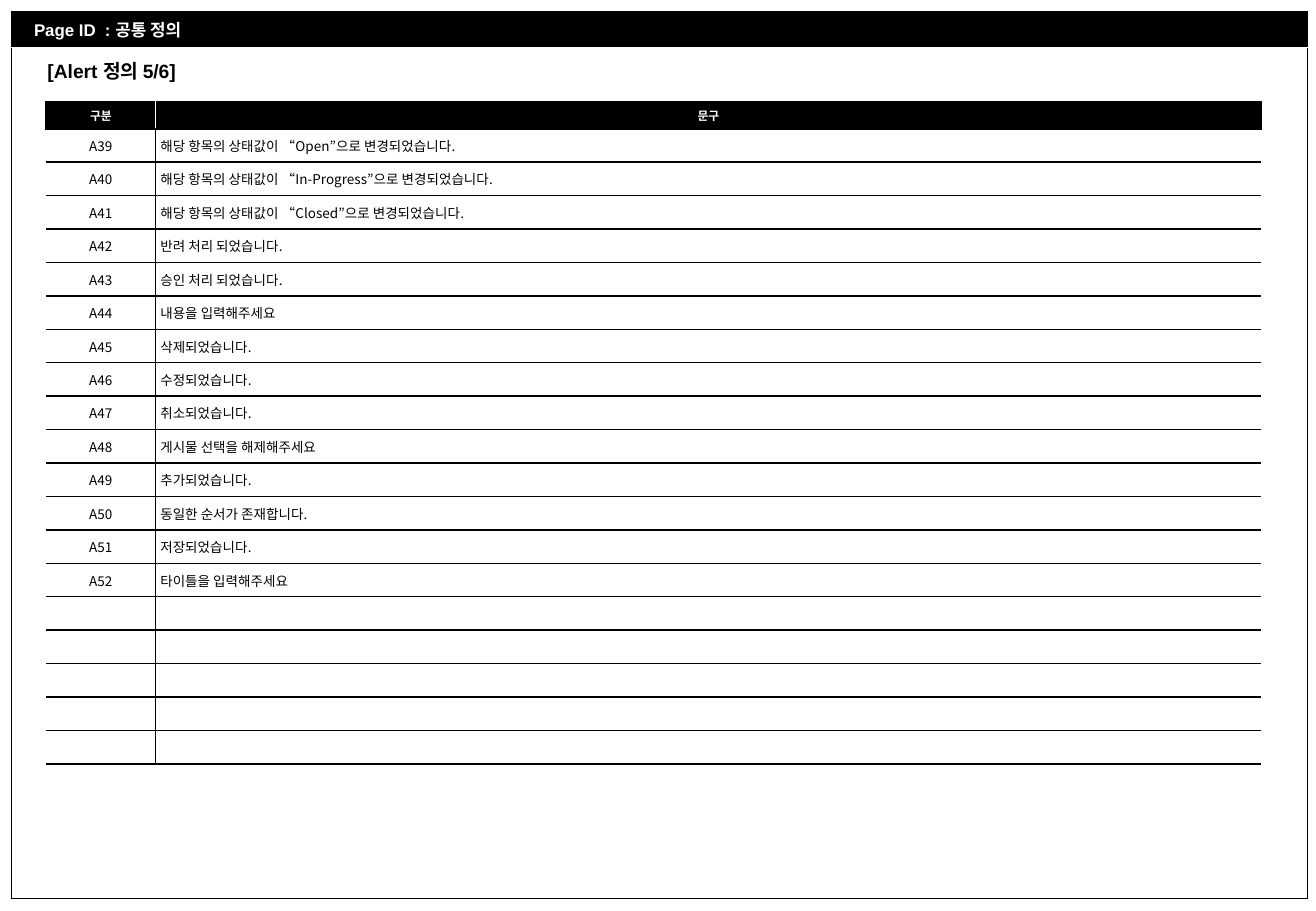
from lxml import etree
from pptx import Presentation
from pptx.dml.color import RGBColor
from pptx.enum.text import MSO_ANCHOR, MSO_AUTO_SIZE, PP_ALIGN
from pptx.oxml.ns import qn
from pptx.util import Inches, Pt

LEFT, CENTER = PP_ALIGN.LEFT, PP_ALIGN.CENTER
MIDDLE = MSO_ANCHOR.MIDDLE
NO_AUTOFIT = MSO_AUTO_SIZE.NONE
BLACK, WHITE = "000000", "FFFFFF"
LATIN_FONT, KOREAN_FONT = "Arial", "Noto Sans CJK KR"
HEADINGS = ("구분", "문구")
FIRST_CODE = 39
MESSAGES = [
    "해당 항목의 상태값이 “Open”으로 변경되었습니다.",
    "해당 항목의 상태값이 “In-Progress”으로 변경되었습니다.",
    "해당 항목의 상태값이 “Closed”으로 변경되었습니다.",
    "반려 처리 되었습니다.",
    "승인 처리 되었습니다.",
    "내용을 입력해주세요",
    "삭제되었습니다.",
    "수정되었습니다.",
    "취소되었습니다.",
    "게시물 선택을 해제해주세요",
    "추가되었습니다.",
    "동일한 순서가 존재합니다.",
    "저장되었습니다.",
    "타이틀을 입력해주세요",
]
BODY_ROWS = 19
TABLE_HEIGHT, HEADING_HEIGHT = 5.43, 0.2


def write(para, text, size, color, font, bold=False, align=LEFT):
    """Fill a paragraph with one formatted run, or only set its size if empty."""
    para.alignment = align
    if not text:
        etree.SubElement(para._p, qn("a:endParaRPr"), sz=str(size * 100))
        return
    span = para.add_run()
    span.text = text
    span.font.size = Pt(size)
    span.font.bold = bold
    span.font.name = font
    span.font.color.rgb = RGBColor.from_string(color)
    etree.SubElement(span.font._element, qn("a:ea"), typeface=KOREAN_FONT)


def style_cell(cell, fill, borders, margin_y=0.04):
    """Set a cell's fill, margins and borders, given as side: (color, points)."""
    cell.vertical_anchor = MIDDLE
    cell.margin_left = cell.margin_right = Inches(0.04)
    cell.margin_top = cell.margin_bottom = Inches(margin_y)
    properties = cell._tc.get_or_add_tcPr()
    for side in "LRTB":
        color, points = borders.get(side, (None, 0))
        line = etree.SubElement(properties, qn(f"a:ln{side}"), w=str(Pt(points)))
        if color:
            solid = etree.SubElement(line, qn("a:solidFill"))
            etree.SubElement(solid, qn("a:srgbClr"), val=color)
        else:
            etree.SubElement(line, qn("a:noFill"))
    if fill:
        cell.fill.solid()
        cell.fill.fore_color.rgb = RGBColor.from_string(fill)
    else:
        cell.fill.background()


deck = Presentation()
deck.slide_width, deck.slide_height = Inches(10.83), Inches(7.5)
page = deck.slides.add_slide(deck.slide_layouts[5])

# Page frame with its header bar
frame = page.shapes.add_table(
    2, 1, Inches(0.09), Inches(0.09), Inches(10.67), Inches(7.27)).table
frame.first_row = frame.horz_banding = False
frame.rows[0].height, frame.rows[1].height = Inches(0.27), Inches(7)
thin, divider = (BLACK, 0.25), (WHITE, 1)
header, body = frame.cell(0, 0), frame.cell(1, 0)
style_cell(header, BLACK, {"L": thin, "R": thin, "T": thin, "B": divider}, 0.05)
style_cell(body, None, {"L": thin, "R": thin, "T": divider, "B": thin}, 0.05)
header.margin_left = Inches(0.19)
write(header.text_frame.paragraphs[0], "Page ID  : 공통 정의", 10, WHITE,
      LATIN_FONT, bold=True)

# Title
title = page.shapes.title
title.left, title.top = Inches(0.29), Inches(0.44)
title.width, title.height = Inches(1.37), Inches(0.29)
title.text_frame.word_wrap = False
title.text_frame.auto_size = NO_AUTOFIT
title.text_frame.vertical_anchor = MIDDLE
write(title.text_frame.paragraphs[0], "[Alert 정의 5/6]", 11.4, BLACK,
      LATIN_FONT, bold=True)

# Alert messages
alerts = page.shapes.add_table(
    BODY_ROWS + 1, 2, Inches(0.38), Inches(0.84), Inches(10),
    Inches(TABLE_HEIGHT)).table
alerts.first_row = alerts.horz_banding = False
alerts.columns[0].width, alerts.columns[1].width = Inches(0.9), Inches(9.1)
rule = (BLACK, 1)

alerts.rows[0].height = Inches(HEADING_HEIGHT)
for column, heading in enumerate(HEADINGS):
    cell = alerts.cell(0, column)
    borders = dict.fromkeys("LRTB", rule)
    borders["RL"[column]] = divider
    style_cell(cell, BLACK, borders)
    write(cell.text_frame.paragraphs[0], heading, 7, WHITE, KOREAN_FONT,
          bold=True, align=CENTER)

for index in range(BODY_ROWS):
    row = index + 1
    alerts.rows[row].height = Inches((TABLE_HEIGHT - HEADING_HEIGHT) / BODY_ROWS)
    entry = ("", "")
    if index < len(MESSAGES):
        entry = (f"A{FIRST_CODE + index}", MESSAGES[index])
    for column, text in enumerate(entry):
        cell = alerts.cell(row, column)
        style_cell(cell, WHITE, {"RL"[column]: rule, "T": rule, "B": rule})
        write(cell.text_frame.paragraphs[0], text, 8, BLACK, KOREAN_FONT,
              align=(CENTER, LEFT)[column])

deck.save("out.pptx")
